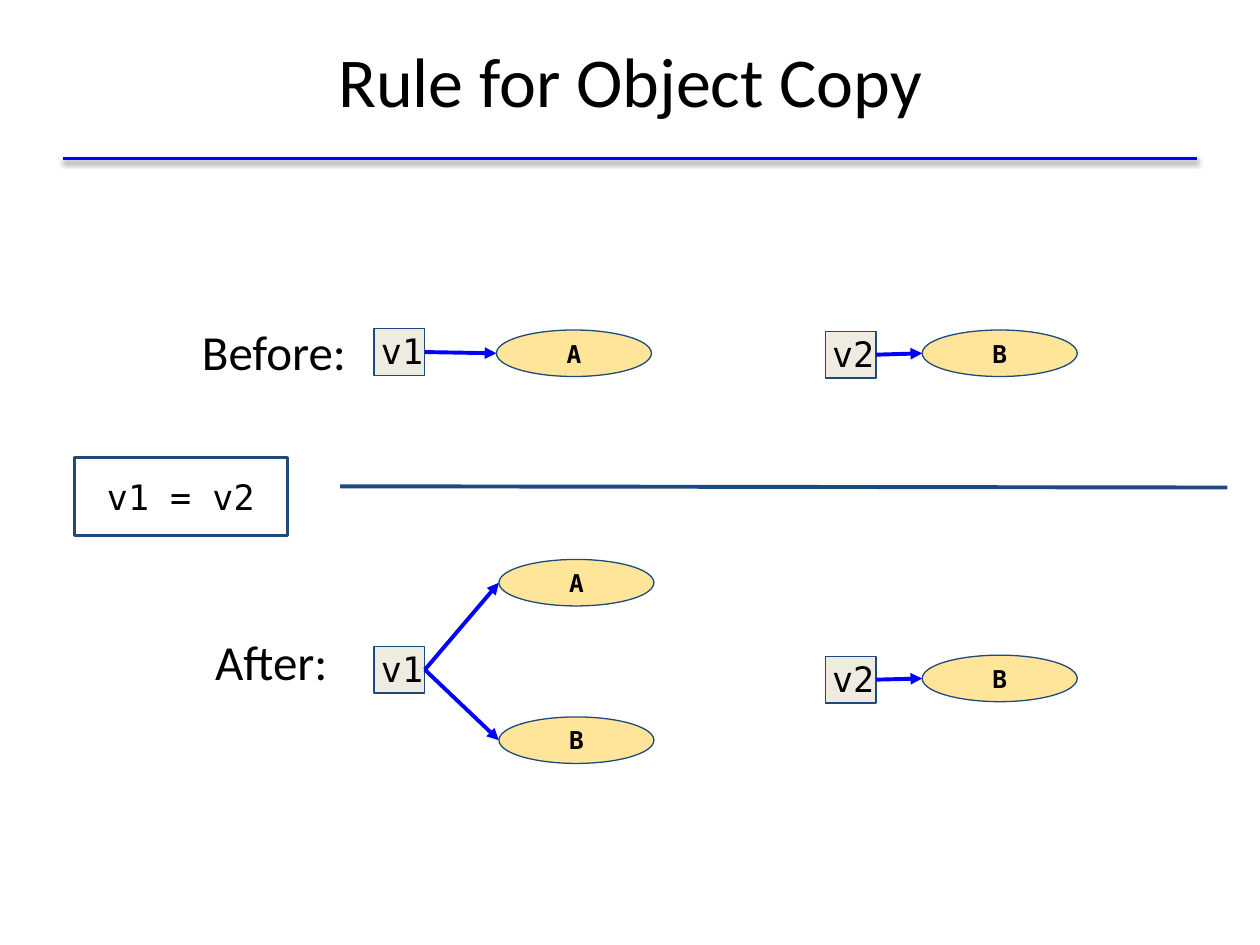
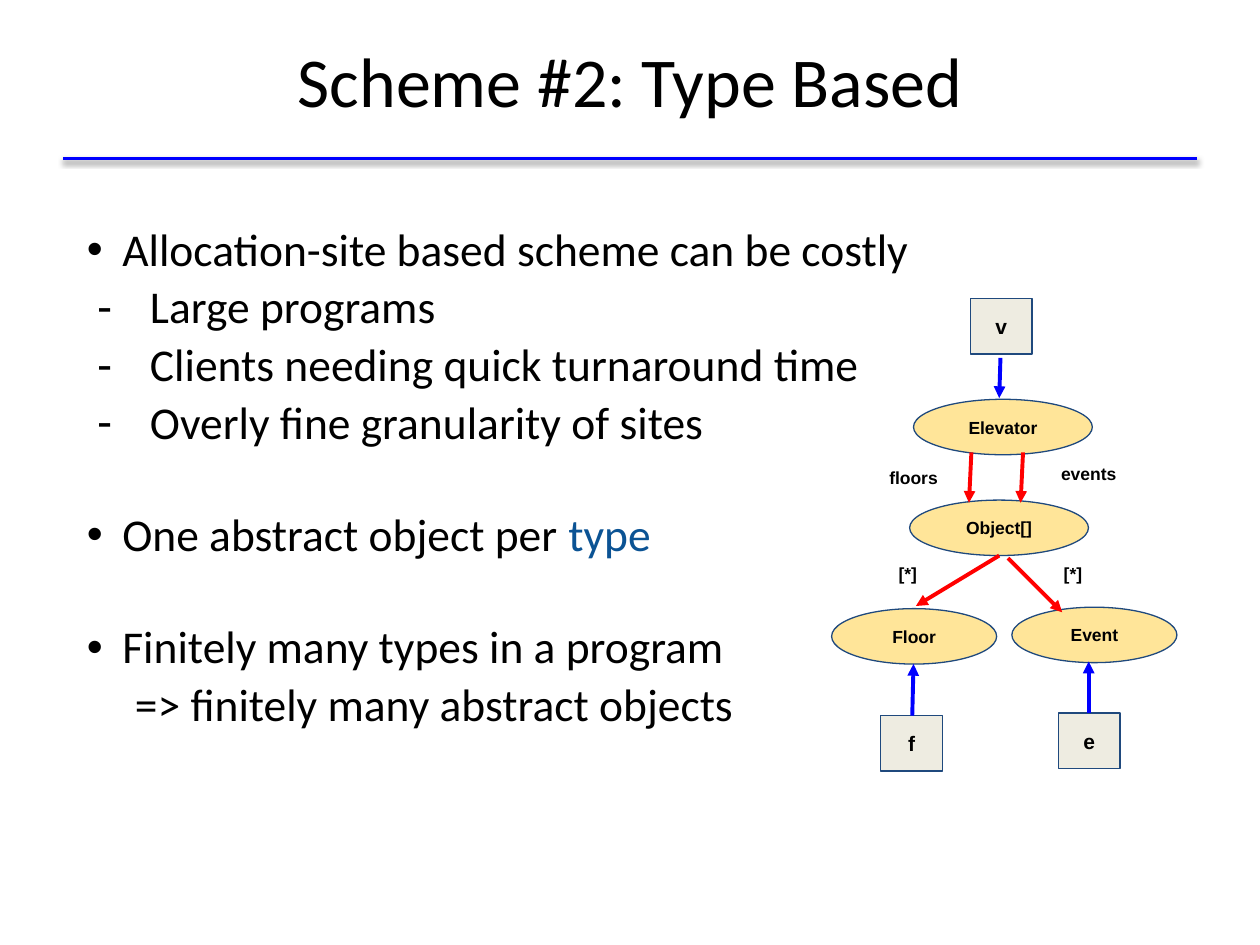
from dataclasses import dataclass

from lxml.etree import SubElement
from pptx import Presentation
from pptx.dml.color import RGBColor
from pptx.enum.shapes import MSO_CONNECTOR, MSO_SHAPE
from pptx.enum.text import MSO_ANCHOR, PP_ALIGN
from pptx.oxml import parse_xml
from pptx.oxml.ns import nsdecls, qn
from pptx.util import Pt


@dataclass(frozen=True)
class Theme:
    black: RGBColor = RGBColor.from_string("000000")
    blue: RGBColor = RGBColor.from_string("0000FF")
    red: RGBColor = RGBColor.from_string("FF0000")
    navy: RGBColor = RGBColor.from_string("1F497D")
    accent: RGBColor = RGBColor.from_string("0B5394")
    object_fill: RGBColor = RGBColor.from_string("FFE599")
    variable_fill: RGBColor = RGBColor.from_string("EEECE1")
    text_font: str = "Calibri"
    code_font: str = "DejaVu Sans Mono"
    graph_font: str = "Arial"
    title_size: int = 40
    stage_size: int = 28
    body_size: int = 26
    code_size: int = 20
    object_size: int = 14
    variable_size: int = 12
    graph_size: int = 10


theme = Theme()


def add_label(slide, kind, text, box, font, size, bold=False, fill=None,
              outline=0.75, align=PP_ALIGN.CENTER, anchor=MSO_ANCHOR.MIDDLE):
    lengths = [Pt(length) for length in box]
    if kind is None:
        shape = slide.shapes.add_textbox(*lengths)
    else:
        shape = slide.shapes.add_shape(kind, *lengths)
        shape.shadow.inherit = False
        shape.line.color.rgb = theme.navy
        shape.line.width = Pt(outline)
        if fill is None:
            shape.fill.background()
        else:
            shape.fill.solid()
            shape.fill.fore_color.rgb = fill
    frame = shape.text_frame
    frame.word_wrap = True
    frame.vertical_anchor = anchor
    frame.margin_left = frame.margin_right = Pt(7.2)
    frame.margin_top = frame.margin_bottom = Pt(7.2)
    paragraph = frame.paragraphs[0]
    paragraph.text = text
    paragraph.alignment = align
    paragraph.font.name = font
    paragraph.font.size = Pt(size)
    paragraph.font.bold = bold
    paragraph.font.color.rgb = theme.black


def add_line(slide, start, end, color, width=2.25, arrow=True):
    ends = [Pt(length) for length in (*start, *end)]
    connector = slide.shapes.add_connector(MSO_CONNECTOR.STRAIGHT, *ends)
    connector.line.color.rgb = color
    connector.line.width = Pt(width)
    properties = connector.element.spPr
    if arrow:
        SubElement(properties.find(qn("a:ln")), qn("a:tailEnd"), type="triangle")
    SubElement(properties, qn("a:effectLst"))
    return connector


presentation = Presentation()
presentation.slide_width = Pt(720)
presentation.slide_height = Pt(540)
title_only = presentation.slide_layouts[5]
title_and_content = presentation.slide_layouts[1]

copy_slide = presentation.slides.add_slide(title_only)
type_slide = presentation.slides.add_slide(title_and_content)

title_rule = add_line(copy_slide, (36, 90.7), (684, 90.7), theme.blue, 2, arrow=False)
title_rule.element.spPr.find(qn("a:effectLst")).append(parse_xml(
    f'<a:outerShdw {nsdecls("a")} blurRad="{Pt(3.1)}" dist="{Pt(1.6)}" dir="5400000" rotWithShape="0">'
    '<a:srgbClr val="000000"><a:alpha val="38000"/></a:srgbClr></a:outerShdw>'))
presentation.slide_master.shapes.element.append(title_rule.element)

for slide, heading in ((copy_slide, "Rule for Object Copy"),
                       (type_slide, "Scheme #2: Type Based")):
    title = slide.shapes.title
    title.left, title.top, title.width, title.height = Pt(36), Pt(0.7), Pt(648), Pt(90)
    title.text_frame.vertical_anchor = MSO_ANCHOR.MIDDLE
    paragraph = title.text_frame.paragraphs[0]
    paragraph.text = heading
    paragraph.alignment = PP_ALIGN.CENTER
    paragraph.font.name = theme.text_font
    paragraph.font.size = Pt(theme.title_size)
    paragraph.font.color.rgb = theme.black

add_label(copy_slide, MSO_SHAPE.RECTANGLE, "v1 = v2", (42.5, 261.4, 121.7, 44.6),
          theme.code_font, theme.code_size, outline=1.5)
add_line(copy_slide, (194.4, 277.9), (701.3, 278.6), theme.navy, arrow=False)

for stage, left, top in (("Before:", 89.3, 176.4), ("After:", 87.8, 353.5)):
    add_label(copy_slide, None, stage, (left, top, 134.6, 67.7),
              theme.text_font, theme.stage_size, anchor=MSO_ANCHOR.TOP)

cell_width, object_width, node_height = 29, 88.6, 26.6
references = (
    ("v1", 213.8, 187.9, (("A", 283.7, 188.6),)),
    ("v2", 471.6, 189.4, (("B", 527, 188.6),)),
    ("v1", 213.8, 369.4, (("A", 285.1, 319.7), ("B", 285.1, 409.7))),
    ("v2", 471.6, 375.1, (("B", 527, 374.4),)),
)
for variable, left, top, objects in references:
    add_label(copy_slide, MSO_SHAPE.RECTANGLE, "", (left, top, cell_width, node_height),
              theme.code_font, theme.code_size, fill=theme.variable_fill)
    add_label(copy_slide, None, variable, (left - 3.2, top - 6.8, 39, node_height),
              theme.code_font, theme.code_size,
              align=PP_ALIGN.LEFT, anchor=MSO_ANCHOR.TOP)
    for name, object_left, object_top in objects:
        add_label(copy_slide, MSO_SHAPE.OVAL, name,
                  (object_left, object_top, object_width, node_height),
                  theme.code_font, theme.object_size, bold=True, fill=theme.object_fill)
        add_line(copy_slide, (left + cell_width, top + node_height / 2),
                 (object_left, object_top + node_height / 2), theme.blue)

body = type_slide.placeholders[1]
body.left, body.top, body.width, body.height = Pt(42.5), Pt(126), Pt(526.3), Pt(357.1)
frame = body.text_frame
points = (
    ("•", 20.2, -20.2, 5, ("Allocation-site based scheme can be costly",)),
    ("-", 36, -30.2, 5, ("Large programs",)),
    ("-", 36, -30.2, 5, ("Clients needing quick turnaround time",)),
    ("-", 36, -30.2, 5, ("Overly fine granularity of sites",)),
    ("•", 20.2, -20.2, 36, ("One abstract object per ", "type")),
    ("•", 20.2, -20.2, 36, ("Finitely many types in a program",)),
    (None, 27.4, 0, 5, ("=> finitely many abstract objects",)),
)
for index, (bullet, margin, indent, space, texts) in enumerate(points):
    paragraph = frame.add_paragraph() if index else frame.paragraphs[0]
    properties = paragraph._p.get_or_add_pPr()
    properties.set("marL", str(Pt(margin)))
    properties.set("indent", str(Pt(indent)))
    if bullet:
        SubElement(properties, qn("a:buChar"), char=bullet)
    else:
        SubElement(properties, qn("a:buNone"))
    paragraph.line_spacing = 0.9
    paragraph.space_before = Pt(space)
    paragraph.font.name = theme.text_font
    paragraph.font.size = Pt(theme.body_size)
    paragraph.font.color.rgb = theme.black
    for text in texts:
        run = paragraph.add_run()
        run.text = text
        if text == "type":
            run.font.color.rgb = theme.accent

for name, left, top, width in (("Elevator", 522, 228.2, 102.2), ("Object[]", 519.8, 285.8, 102.2),
                               ("Floor", 475.2, 347.8, 94.3), ("Event", 578.2, 347, 94.3)):
    add_label(type_slide, MSO_SHAPE.OVAL, name, (left, top, width, 31.7),
              theme.graph_font, theme.graph_size, bold=True, fill=theme.object_fill)

for name, left, top in (("v", 554.4, 170.6), ("f", 503.3, 409), ("e", 604.8, 407.5)):
    add_label(type_slide, MSO_SHAPE.RECTANGLE, name, (left, top, 35.3, 31.7),
              theme.graph_font, theme.variable_size, bold=True, fill=theme.variable_fill)

for field, left, top, width in (("floors", 488.9, 254.9, 66.2), ("events", 586.1, 252.7, 72),
                                ("[*]", 496.1, 309.6, 45.4), ("[*]", 590.4, 309.6, 45.4)):
    add_label(type_slide, None, field, (left, top, width, 36),
              theme.graph_font, theme.graph_size, bold=True)

for start, end, color in (
    ((571.7, 204.5), (571, 227.5), theme.blue),
    ((521.3, 409), (522, 379.4), theme.blue),
    ((622.1, 407.5), (622.1, 378), theme.blue),
    ((555.1, 258.5), (553.7, 287.3), theme.red),
    ((584.6, 258.5), (583.2, 287.3), theme.red),
    ((571, 317.5), (523.4, 346.3), theme.red),
    ((576, 319), (607, 349.9), theme.red),
):
    add_line(type_slide, start, end, color)

presentation.save("out.pptx")
